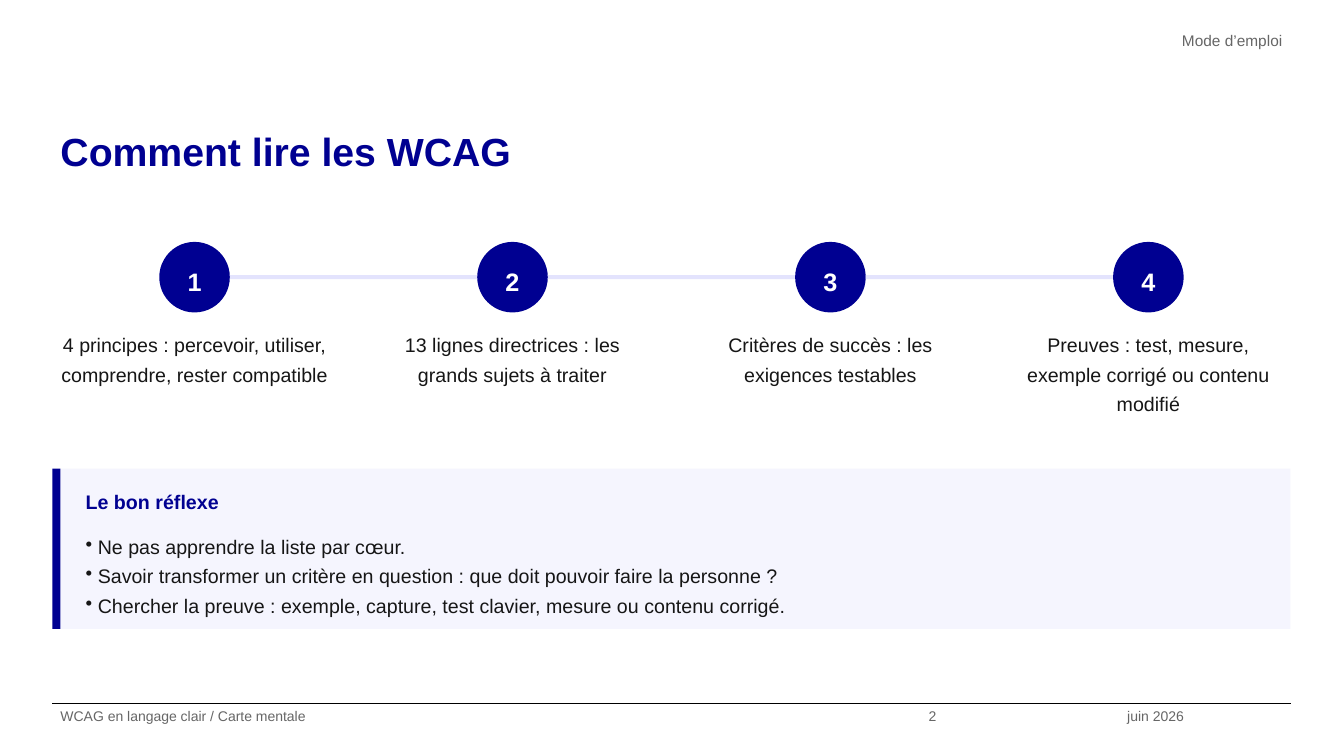
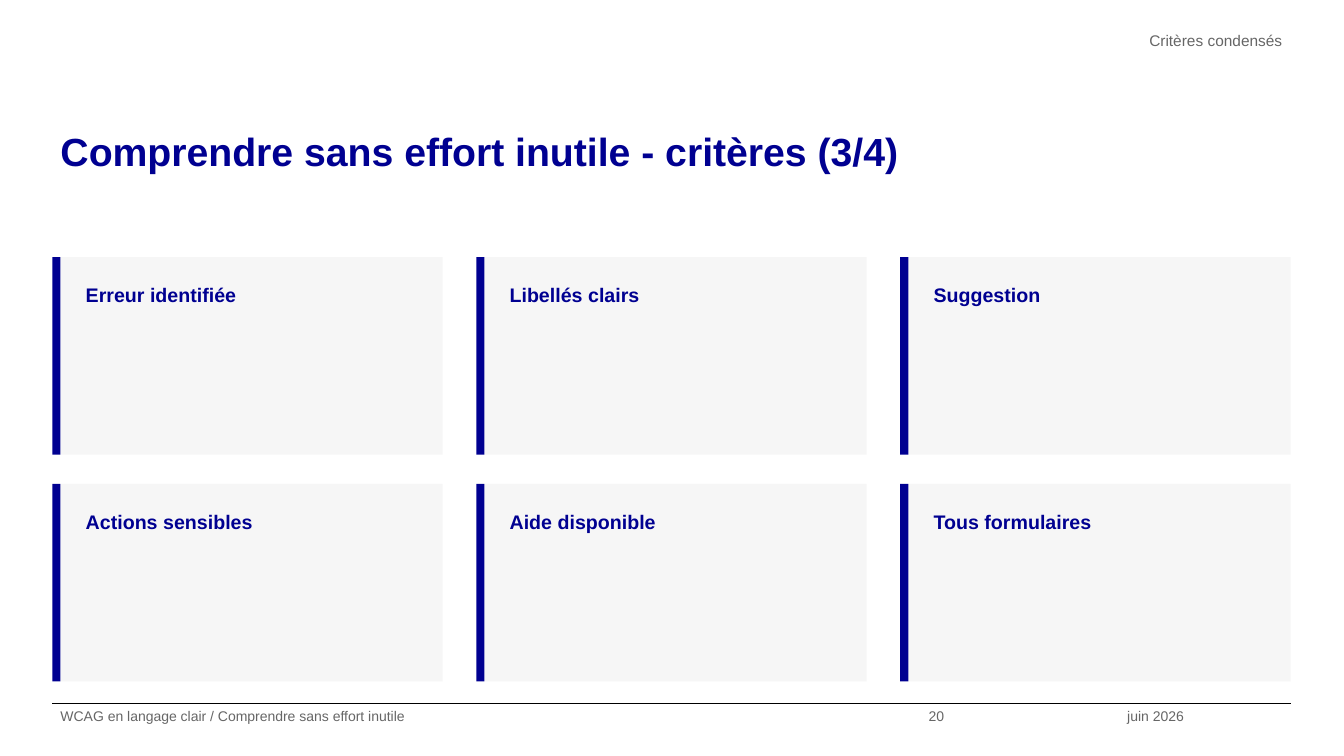
from lxml.etree import SubElement
from pptx import Presentation
from pptx.dml.color import RGBColor
from pptx.enum.shapes import MSO_CONNECTOR, MSO_SHAPE
from pptx.enum.text import MSO_ANCHOR, MSO_AUTO_SIZE, PP_ALIGN
from pptx.oxml.ns import qn
from pptx.util import Inches, Pt

NAVY, INK, GREY, WHITE, BLACK = "000091", "161616", "666666", "FFFFFF", "000000"
PALE, LINK, CARD = "F5F5FE", "E3E3FD", "F6F6F6"
LEFT, WIDTH, GAP, BAR = 0.52, 12.28, 1 / 3, 0.08
RIGHT = LEFT + WIDTH
FOOT_Y, FOOT_H = 6.98, 0.52
rgb = RGBColor.from_string


def write(sp, text, size=14, color=INK, bold=False, align=PP_ALIGN.LEFT,
          anchor=MSO_ANCHOR.TOP, pad=0.05, bullet=False):
    tf = sp.text_frame
    tf.word_wrap = True
    tf.auto_size = MSO_AUTO_SIZE.NONE
    tf.vertical_anchor = anchor
    tf.margin_left = tf.margin_right = Inches(0.08)
    tf.margin_top = tf.margin_bottom = Inches(pad)
    tf.text = text
    for p in tf.paragraphs:
        p.alignment = align
        p.line_spacing = 1.25
        if bullet:
            pPr = p._p.get_or_add_pPr()
            pPr.set("marL", str(Inches(0.12)))
            pPr.set("indent", str(-Inches(0.12)))
            SubElement(pPr, qn("a:buChar")).set("char", "•")
        for r in p.runs:
            r.font.name = "Arial"
            r.font.size = Pt(size)
            r.font.bold = bold
            r.font.color.rgb = rgb(color)


def add(s, x, y, w, h, fill=None, kind=MSO_SHAPE.RECTANGLE):
    box = [Inches(v) for v in (x, y, w, h)]
    if fill is None:
        return s.shapes.add_textbox(*box)
    sp = s.shapes.add_shape(kind, *box)
    sp.shadow.inherit = False
    sp.fill.solid()
    sp.fill.fore_color.rgb = rgb(fill)
    sp.line.fill.background()
    return sp


prs = Presentation()
prs.slide_width, prs.slide_height = Inches(13.33), Inches(7.5)

pages = [
    ("Comment lire les WCAG", "Mode d’emploi", "Carte mentale", "2"),
    ("Comprendre sans effort inutile - critères (3/4)", "Critères condensés",
     "Comprendre sans effort inutile", "20"),
]
for title, section, chapter, number in pages:
    s = prs.slides.add_slide(prs.slide_layouts[5])
    sp = s.shapes.title
    sp.left, sp.top = Inches(LEFT), Inches(1.15)
    sp.width, sp.height = Inches(WIDTH), Inches(1.05)
    write(sp, title, size=28, color=NAVY, bold=True, pad=0)
    write(add(s, 4.83, 0.26, RIGHT - 4.83, 0.52), section, size=11,
          color=GREY, align=PP_ALIGN.RIGHT, pad=0)

    line = s.shapes.add_connector(MSO_CONNECTOR.STRAIGHT, Inches(LEFT), Inches(FOOT_Y),
                                  Inches(RIGHT), Inches(FOOT_Y))
    line.line.color.rgb = rgb(BLACK)
    line.line.width = Pt(0.8)
    SubElement(line._element.spPr, qn("a:effectLst"))
    footer = [
        (LEFT, 8.61, f"WCAG en langage clair / {chapter}"),
        (9.13, 1.97, number),
        (11.1, 1.71, "juin 2026"),
    ]
    for x, w, text in footer:
        write(add(s, x, FOOT_Y, w, FOOT_H), text, size=10, color=GREY, pad=0)

steps_slide, cards_slide = prs.slides

s = steps_slide
steps = [
    "4 principes : percevoir, utiliser, comprendre, rester compatible",
    "13 lignes directrices : les grands sujets à traiter",
    "Critères de succès : les exigences testables",
    "Preuves : test, mesure, exemple corrigé ou contenu modifié",
]
dot, dot_y, link_h = 0.7, 2.4, 0.04
col_w = (WIDTH - GAP * (len(steps) - 1)) / len(steps)
pitch = col_w + GAP
for i, text in enumerate(steps):
    x = LEFT + i * pitch
    dot_x = x + (col_w - dot) / 2
    if i:
        add(s, dot_x + dot - pitch, dot_y + (dot - link_h) / 2, pitch - dot, link_h, LINK)
    write(add(s, dot_x, dot_y, dot, dot, NAVY, MSO_SHAPE.OVAL), str(i + 1), size=18,
          color=WHITE, bold=True, align=PP_ALIGN.CENTER, anchor=MSO_ANCHOR.MIDDLE)
    write(add(s, x, 3.2, col_w, 0.95), text, align=PP_ALIGN.CENTER)

tips = [
    "Ne pas apprendre la liste par cœur.",
    "Savoir transformer un critère en question : que doit pouvoir faire la personne ?",
    "Chercher la preuve : exemple, capture, test clavier, mesure ou contenu corrigé.",
]
add(s, LEFT + BAR, 4.65, WIDTH - BAR, 1.59, PALE)
add(s, LEFT, 4.65, BAR, 1.59, NAVY)
write(add(s, LEFT + 0.25, 4.75, 11.93, 0.35), "Le bon réflexe", color=NAVY, bold=True)
write(add(s, LEFT + 0.25, 5.2, 11.93, 0.94), "\n".join(tips), bullet=True)

s = cards_slide
cards = ["Erreur identifiée", "Libellés clairs", "Suggestion",
         "Actions sensibles", "Aide disponible", "Tous formulaires"]
cols, card_h, row_pitch = 3, 1.96, 2.25
card_w = (WIDTH - GAP * (cols - 1)) / cols
for i, text in enumerate(cards):
    row, col = divmod(i, cols)
    x = LEFT + col * (card_w + GAP)
    y = 2.55 + row * row_pitch
    add(s, x + BAR, y, card_w - BAR, card_h, CARD)
    add(s, x, y, BAR, card_h, NAVY)
    write(add(s, x + 0.25, y + 0.15, card_w - 0.4, 0.45), text, color=NAVY, bold=True)

prs.save("out.pptx")
